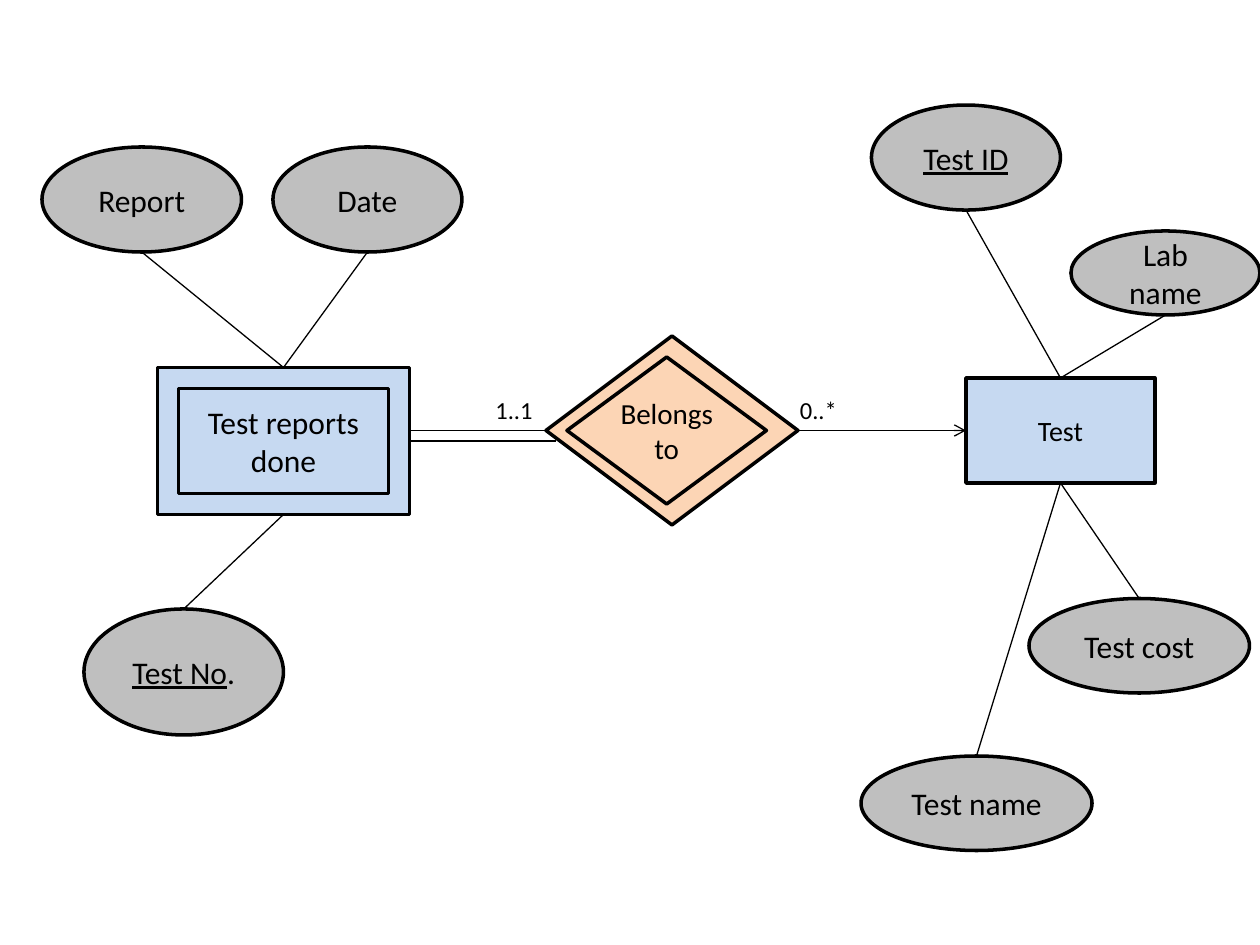
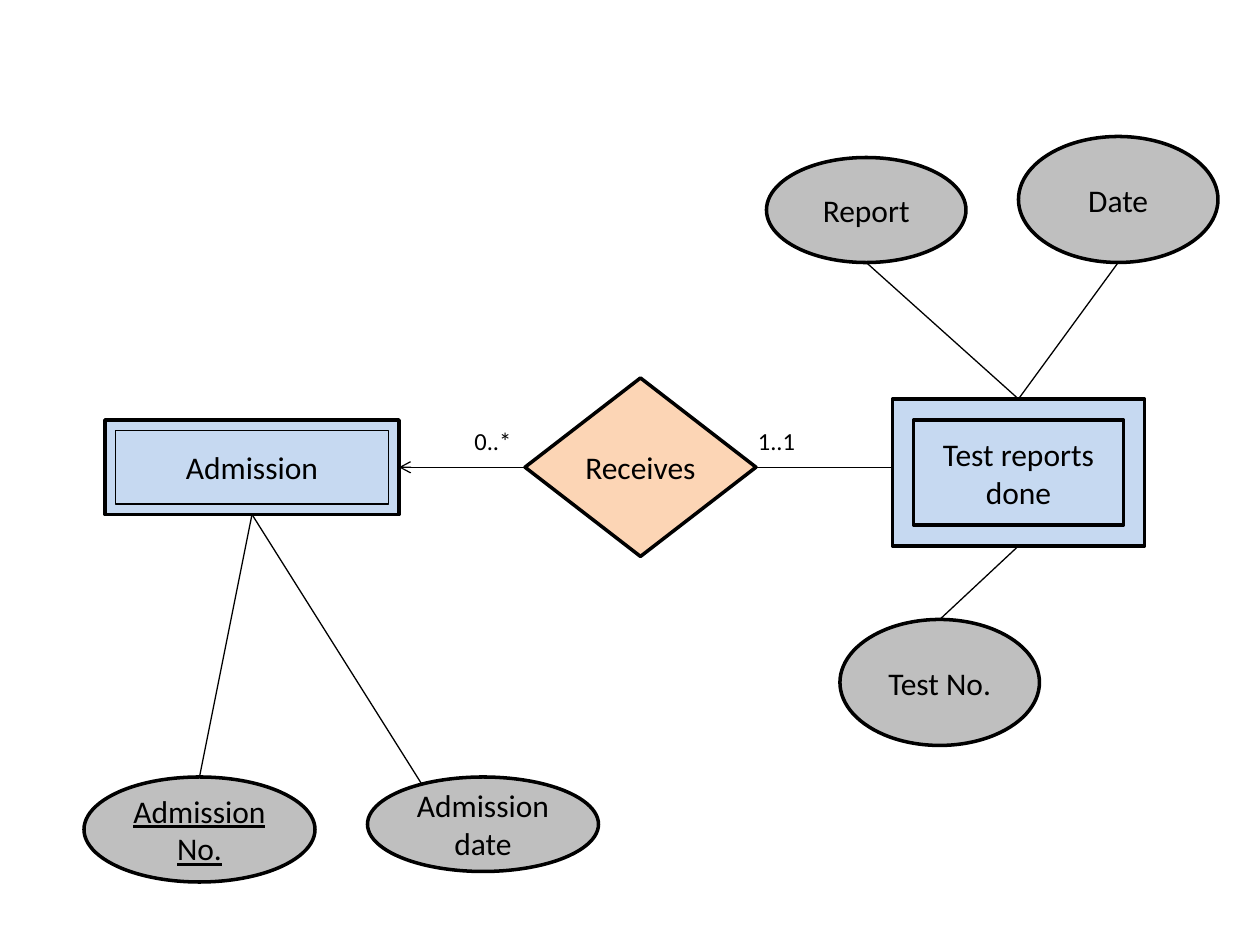
from lxml.etree import SubElement
from pptx import Presentation
from pptx.dml.color import RGBColor
from pptx.enum.shapes import MSO_CONNECTOR, MSO_SHAPE
from pptx.enum.text import MSO_ANCHOR, MSO_AUTO_SIZE, PP_ALIGN
from pptx.oxml.ns import qn
from pptx.util import Pt

BLUE, GREY, PEACH, INK = "C6D9F1", "BFBFBF", "FCD5B5", "000000"
FONT = "Calibri"
TOP, LEFT, BOTTOM, RIGHT = range(4)


def paint(form, shade):
    """Set a fill, line or font colour from a hex string."""
    color = form.color if hasattr(form, "color") else form.fore_color
    color.rgb = RGBColor.from_string(shade)


def write(frame, key, rest, size):
    """Write one paragraph whose key part is underlined."""
    para = frame.paragraphs[0]
    para.font.name, para.font.size = FONT, Pt(size)
    paint(para.font, INK)
    if key:
        run = para.add_run()
        run.text, run.font.underline = key, True
    if rest:
        para.add_run().text = rest
    return para


def draw(slide, kind, box, shade, rest="", key="", size=18, line=2, pad=7.2):
    """Draw a filled, outlined shape with centred text."""
    shape = slide.shapes.add_shape(kind, *map(Pt, box))
    shape.shadow.inherit = False
    shape.fill.solid()
    paint(shape.fill, shade)
    paint(shape.line, INK)
    shape.line.width = Pt(line)
    if key or rest:
        frame = shape.text_frame
        frame.word_wrap = True
        frame.vertical_anchor = MSO_ANCHOR.MIDDLE
        frame.margin_left = frame.margin_right = Pt(pad)
        write(frame, key, rest, size).alignment = PP_ALIGN.CENTER
    return shape


def link(slide, start=(0, 0), stop=(0, 0), head=None, tail=None, arrow=False):
    """Draw a line between points, or joined to (shape, side) pairs."""
    line = slide.shapes.add_connector(
        MSO_CONNECTOR.STRAIGHT, *map(Pt, (*start, *stop)))
    if head:
        line.begin_connect(*head)
    if tail:
        line.end_connect(*tail)
    paint(line.line, INK)
    line.line.width = Pt(0.75)
    props = line.line._get_or_add_ln()
    if arrow:
        SubElement(props, qn("a:tailEnd"), type="arrow")
    SubElement(line._element.spPr, qn("a:effectLst"))


def label(slide, left, top, text):
    """Place a cardinality label."""
    area = slide.shapes.add_textbox(Pt(left), Pt(top), Pt(36), Pt(24))
    area.text_frame.word_wrap = False
    area.text_frame.auto_size = MSO_AUTO_SIZE.SHAPE_TO_FIT_TEXT
    write(area.text_frame, "", text, 14)


def entity(slide, box, text, traits, inset=0, size=18, line=2):
    """Draw an entity, double framed if inset, with its attributes around it."""
    left, top, wide, high = box
    outer = draw(slide, MSO_SHAPE.RECTANGLE, box, BLUE,
                 "" if inset else text, size=size)
    if inset:
        inner = (left + inset, top + inset, wide - 2 * inset, high - 2 * inset)
        draw(slide, MSO_SHAPE.RECTANGLE, inner, BLUE, text, size=size, line=line)
    for (dx, dy, w, h), key, rest, *spot in traits:
        x, y = left + dx, top + dy
        px, py = spot[0] if spot else (w / 2, h if dy < 0 else 0)
        side = TOP if dy < 0 else BOTTOM
        link(slide, stop=(x + px, y + py), head=(outer, side))
        draw(slide, MSO_SHAPE.OVAL, (x, y, w, h), GREY, rest, key)
    return outer


def relate(slide, box, text, size=18):
    """Draw a relationship diamond."""
    return draw(slide, MSO_SHAPE.FLOWCHART_DECISION, box, PEACH, text,
                size=size, pad=0)


def belongs(slide):
    """Build the diagram of reports belonging to a test."""
    reports = entity(slide, (90, 210, 144, 84), "Test reports done", [
        ((-66, -126, 114, 60), "", "Report"),
        ((66, -126, 108, 60), "", "Date"),
        ((-42, 138, 114, 72), "Test No", "."),
    ], inset=12)
    test = entity(slide, (552, 216, 108, 60), "Test", [
        ((-54, -156, 108, 60), "Test ID", ""),
        ((60, -84, 108, 48), "", "Lab name"),
        ((36, 126, 126, 54), "", "Test cost"),
        ((-60, 216, 132, 54), "", "Test name"),
    ], size=16)
    bond = relate(slide, (312, 192, 144, 108), "")
    relate(slide, (324, 204, 114, 84), "Belongs to", 16.6)
    link(slide, start=(234, 246), tail=(bond, LEFT))
    link(slide, stop=(318, 252), head=(reports, RIGHT))
    link(slide, head=(bond, RIGHT), tail=(test, LEFT), arrow=True)
    label(slide, 276, 222, "1..1")
    label(slide, 450, 222, "0..*")


def receives(slide):
    """Build the diagram of an admission receiving reports."""
    admit = entity(slide, (60, 240, 168, 54), "Admission", [
        ((-12, 204, 132, 60), "Admission No.", ""),
        ((150, 204, 132, 54), "", "Admission date", (36, 12)),
    ], inset=6, line=1)
    entity(slide, (510, 228, 144, 84), "Test reports done", [
        ((-72, -138, 114, 60), "", "Report"),
        ((72, -150, 114, 72), "", "Date"),
        ((-30, 126, 114, 72), "", "Test No."),
    ], inset=12)
    bond = relate(slide, (300, 216, 132, 102), "Receives")
    link(slide, head=(bond, LEFT), tail=(admit, RIGHT), arrow=True)
    link(slide, stop=(510, 267), head=(bond, RIGHT))
    label(slide, 264, 240, "0..*")
    label(slide, 426, 240, "1..1")


def main():
    """Build and save the deck."""
    deck = Presentation()
    deck.slide_width, deck.slide_height = Pt(720), Pt(540)
    for build in (belongs, receives):
        build(deck.slides.add_slide(deck.slide_layouts[6]))
    deck.save("out.pptx")


if __name__ == "__main__":
    main()
